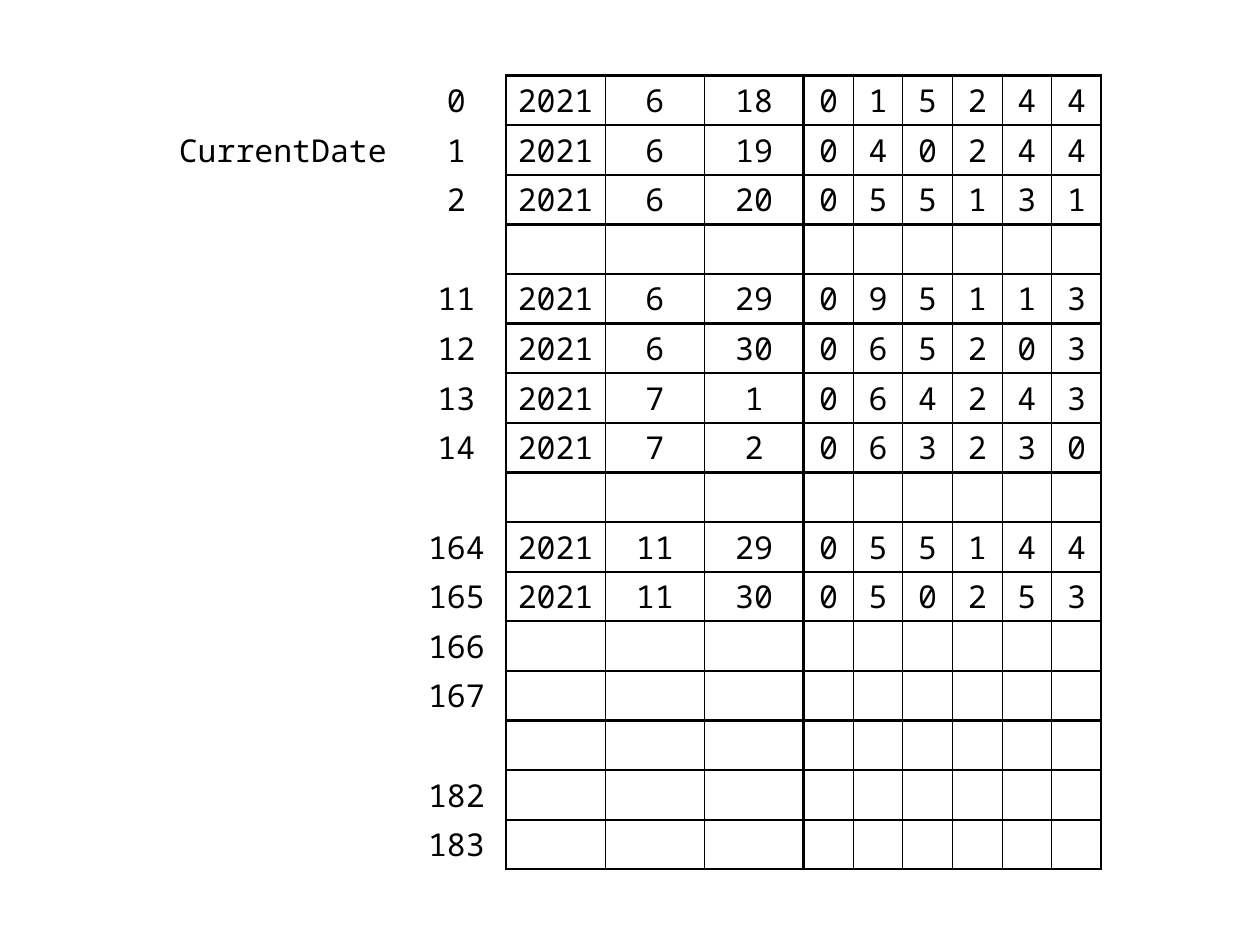
import pptx
import pptx.dml.color
import pptx.enum.text
import pptx.oxml
import pptx.oxml.ns
import pptx.util

Inches, Pt = pptx.util.Inches, pptx.util.Pt
FONT, INK = "Noto Sans Mono", "000000"
THICK, THIN = 1.5, 0.5
UNIT = 6.3 / 16
COLUMN_UNITS = [5, 2, 2, 2, 2] + [1] * 6
FIRST_GRID_COLUMN = 2
THICK_LEFT = {2, 5}
THICK_RIGHT = {1, 4, 10}
ROWS = [
    ("", "0", "2021", "6", "18", *"015244"),
    ("CurrentDate", "1", "2021", "6", "19", *"040244"),
    ("", "2", "2021", "6", "20", *"055131"),
    (),
    ("", "11", "2021", "6", "29", *"095113"),
    ("", "12", "2021", "6", "30", *"065203"),
    ("", "13", "2021", "7", "1", *"064243"),
    ("", "14", "2021", "7", "2", *"063230"),
    (),
    ("", "164", "2021", "11", "29", *"055144"),
    ("", "165", "2021", "11", "30", *"050253"),
    ("", "166"),
    ("", "167"),
    (),
    ("", "182"),
    ("", "183"),
]


def rgb(value):
    return pptx.dml.color.RGBColor.from_string(value)


def set_borders(cell, borders):
    tc_pr = cell._tc.get_or_add_tcPr()
    for i, (side, width) in enumerate(borders):
        tc_pr.insert(i, pptx.oxml.parse_xml(
            f'<a:ln{side} {pptx.oxml.ns.nsdecls("a")} w="{Pt(width)}">'
            f'<a:solidFill><a:srgbClr val="{INK}"/></a:solidFill></a:ln{side}>'))


def column_borders(c):
    right = THICK if c in THICK_RIGHT else THIN
    if c < FIRST_GRID_COLUMN:
        return [("R", right)] if c in THICK_RIGHT else []
    left = THICK if c in THICK_LEFT else THIN
    return [("L", left), ("R", right), ("T", THICK), ("B", THICK)]


def fill_cell(cell, text):
    cell.fill.background()
    cell.margin_left = cell.margin_right = cell.margin_top = cell.margin_bottom = 0
    cell.vertical_anchor = pptx.enum.text.MSO_ANCHOR.MIDDLE
    if not text:
        return
    cell.text_frame.text = text
    p = cell.text_frame.paragraphs[0]
    p.alignment = pptx.enum.text.PP_ALIGN.CENTER
    font = p.runs[0].font
    font.name, font.size = FONT, Pt(18)
    font.color.rgb = rgb(INK)


prs = pptx.Presentation()
prs.slide_width, prs.slide_height = Inches(10), Inches(7.5)
s = prs.slides.add_slide(prs.slide_layouts[6])

table = s.shapes.add_table(
    len(ROWS), len(COLUMN_UNITS), Inches(1.26), Inches(0.6),
    Inches(UNIT * sum(COLUMN_UNITS)), Inches(UNIT * len(ROWS))).table
table.first_row = table.horz_banding = False
table._tbl.tblPr.find(pptx.oxml.ns.qn("a:tableStyleId")).text = (
    "{2D5ABB26-0587-4C30-8999-92F81FD0307C}")

for column, units in zip(table.columns, COLUMN_UNITS):
    column.width = Inches(UNIT * units)
for r, values in enumerate(ROWS):
    table.rows[r].height = Inches(UNIT)
    for c in range(len(COLUMN_UNITS)):
        cell = table.cell(r, c)
        fill_cell(cell, values[c] if c < len(values) else "")
        set_borders(cell, column_borders(c))

prs.save("out.pptx")
